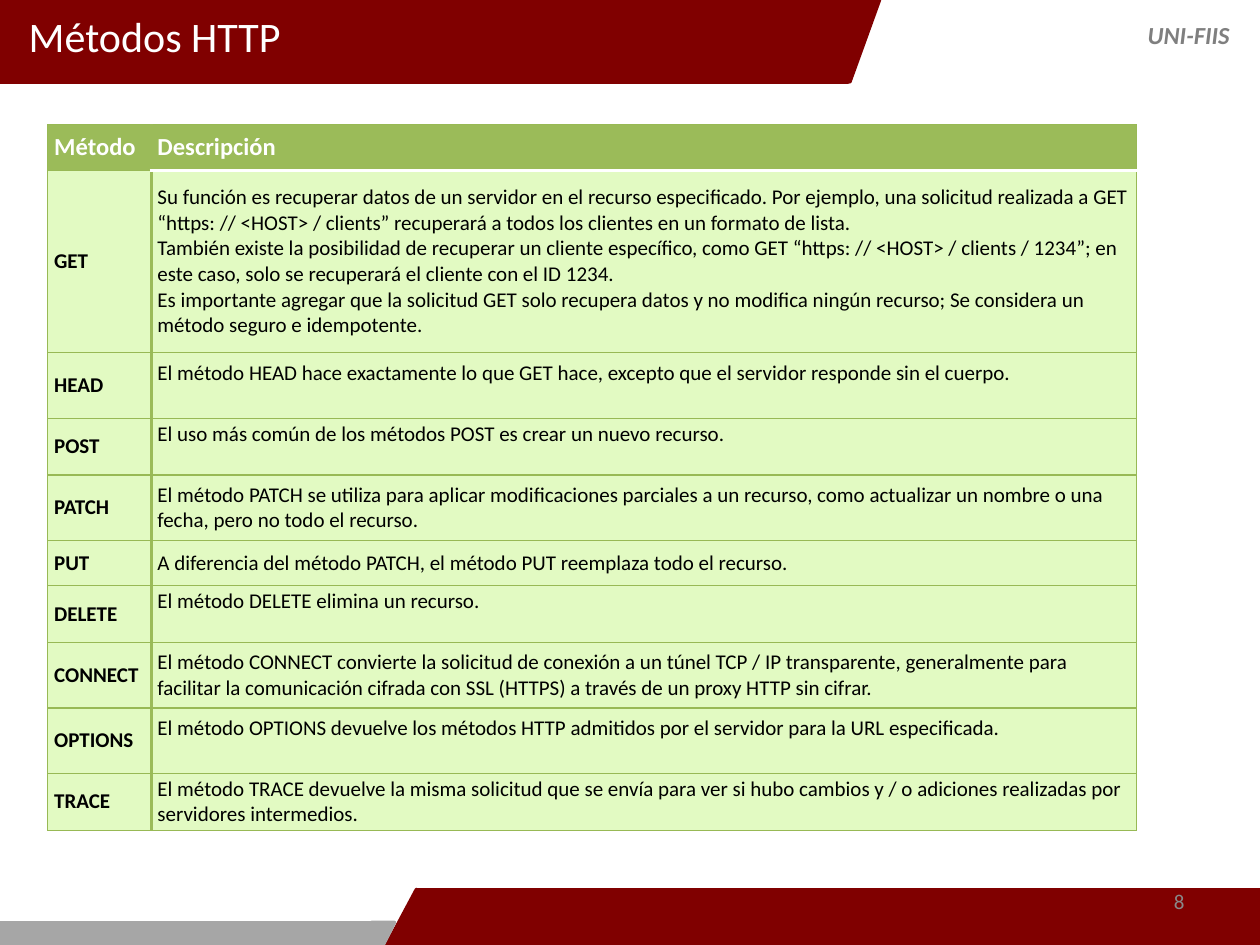
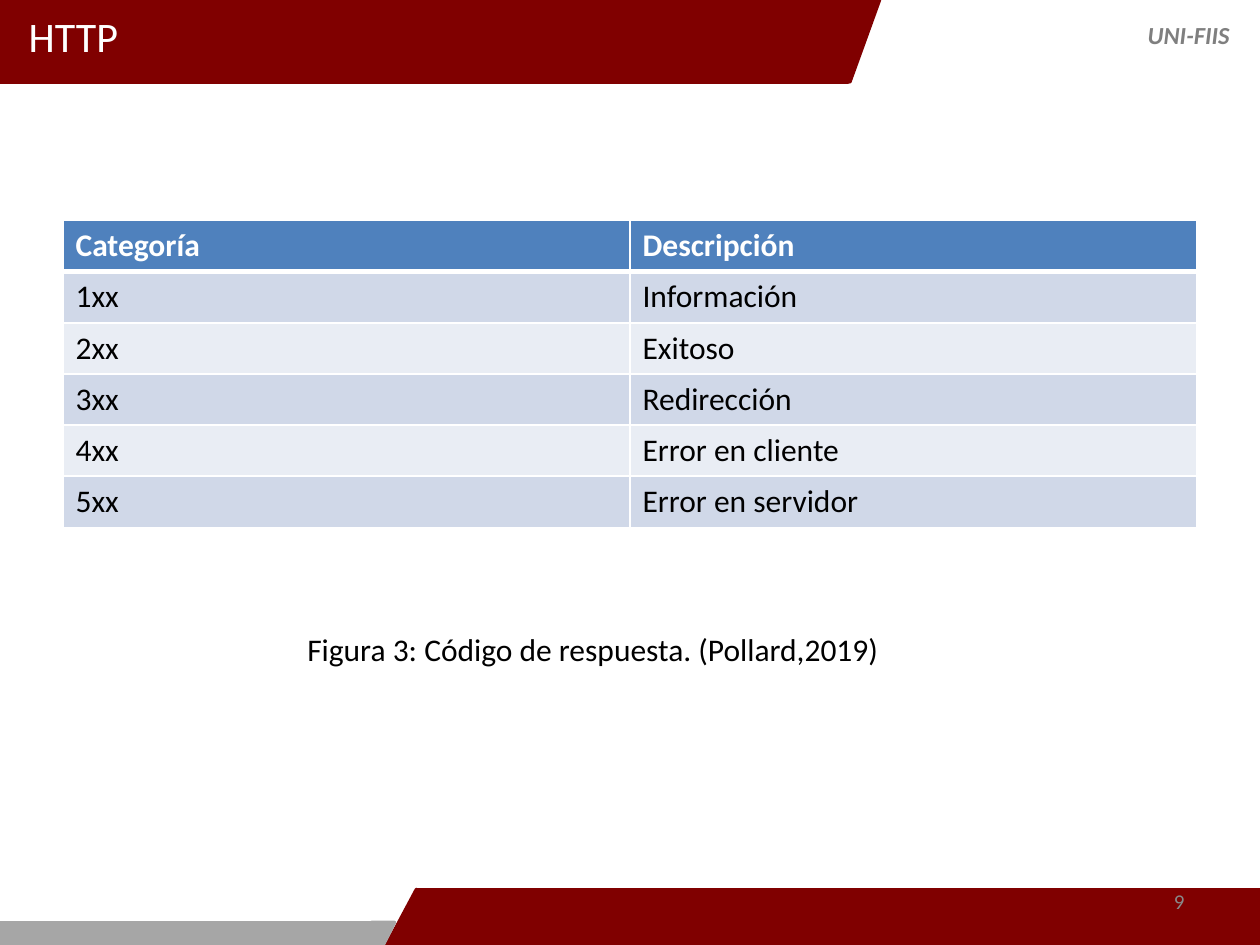
import dataclasses

import lxml.etree
import pptx
import pptx.dml.color
import pptx.enum.shapes
import pptx.enum.text
import pptx.oxml.ns
import pptx.util


@dataclasses.dataclass(frozen=True)
class Theme:
    font: str = "Calibri"
    maroon: str = "800000"
    grey: str = "A6A6A6"
    label: str = "7F7F7F"
    number: str = "898989"
    white: str = "FFFFFF"
    black: str = "000000"
    green: str = "9BBB59"
    green_line: str = "98B955"
    green_pale: str = "E2FAC2"
    blue: str = "4F81BD"
    blue_mid: str = "D0D8E8"
    blue_pale: str = "E9EDF4"
    title_size: int = 24
    large: int = 18
    medium: int = 14
    small: int = 12


T = Theme()
RGB = pptx.dml.color.RGBColor.from_string
SHAPE = pptx.enum.shapes.MSO_SHAPE
ANCHOR = pptx.enum.text.MSO_ANCHOR
LEFT, RIGHT = pptx.enum.text.PP_ALIGN.LEFT, pptx.enum.text.PP_ALIGN.RIGHT

prs = pptx.Presentation()
prs.slide_width = pptx.util.Inches(10)
prs.slide_height = pptx.util.Inches(7.5)
U = prs.slide_width // 100


def write(tf, text, size, color, bold=False, italic=False, align=LEFT):
    tf.word_wrap = True
    p = tf.paragraphs[0]
    p.alignment = align
    for i, line in enumerate(text.split("\n")):
        if i:
            p.add_line_break()
        r = p.add_run()
        r.text = line
        r.font.name = T.font
        r.font.size = pptx.util.Pt(size)
        r.font.bold = bold
        r.font.italic = italic
        r.font.color.rgb = RGB(color)


def paint(cell, fill, borders):
    tcPr = cell._tc.get_or_add_tcPr()
    for side, (color, width) in zip("LRTB", borders):
        ln = lxml.etree.SubElement(tcPr, pptx.oxml.ns.qn(f"a:ln{side}"), w=str(pptx.util.Pt(width)))
        solid = lxml.etree.SubElement(ln, pptx.oxml.ns.qn("a:solidFill"))
        lxml.etree.SubElement(solid, pptx.oxml.ns.qn("a:srgbClr"), val=color)
    cell.fill.solid()
    cell.fill.fore_color.rgb = RGB(fill)


bands = [
    (SHAPE.RECTANGLE, (0, 0, 67.3, 6.5), 0, T.maroon),
    (SHAPE.FLOWCHART_EXTRACT, (65.1, 0, 4.7, 6.5), 180, T.maroon),
    (SHAPE.FLOWCHART_EXTRACT, (30.7, 70.6, 4.7, 4.4), 0, T.maroon),
    (SHAPE.RECTANGLE, (33.1, 70.6, 66.9, 4.4), 0, T.maroon),
    (SHAPE.RECTANGLE, (0, 73.2, 30.2, 1.8), 0, T.grey),
    (SHAPE.FLOWCHART_EXTRACT, (29.5, 73.2, 1.8, 1.8), 180, T.grey),
]

methods = [
    ("Método", "Descripción"),
    ("GET", "Su función es recuperar datos de un servidor en el recurso especificado. Por ejemplo, una solicitud realizada a GET “https: // <HOST> / clients” recuperará a todos los clientes en un formato de lista.\n"
            "También existe la posibilidad de recuperar un cliente específico, como GET “https: // <HOST> / clients / 1234”; en este caso, solo se recuperará el cliente con el ID 1234.\n"
            "Es importante agregar que la solicitud GET solo recupera datos y no modifica ningún recurso; Se considera un método seguro e idempotente."),
    ("HEAD", "El método HEAD hace exactamente lo que GET hace, excepto que el servidor responde sin el cuerpo."),
    ("POST", "El uso más común de los métodos POST es crear un nuevo recurso."),
    ("PATCH", "El método PATCH se utiliza para aplicar modificaciones parciales a un recurso, como actualizar un nombre o una fecha, pero no todo el recurso."),
    ("PUT", "A diferencia del método PATCH, el método PUT reemplaza todo el recurso."),
    ("DELETE", "El método DELETE elimina un recurso."),
    ("CONNECT", "El método CONNECT convierte la solicitud de conexión a un túnel TCP / IP transparente, generalmente para facilitar la comunicación cifrada con SSL (HTTPS) a través de un proxy HTTP sin cifrar."),
    ("OPTIONS", "El método OPTIONS devuelve los métodos HTTP admitidos por el servidor para la URL especificada."),
    ("TRACE", "El método TRACE devuelve la misma solicitud que se envía para ver si hubo cambios y / o adiciones realizadas por servidores intermedios."),
]
raised = {"HEAD", "POST", "DELETE", "OPTIONS"}

codes = [
    ("Categoría", "Descripción"),
    ("1xx", "Información"),
    ("2xx", "Exitoso"),
    ("3xx", "Redirección"),
    ("4xx", "Error en cliente"),
    ("5xx", "Error en servidor"),
]

pages = [
    ("Métodos HTTP", "8", "", methods, (3.8, 9.9), (8.2, 78.2),
     (3.6, 14.5, 5.2, 4.5, 5.2, 3.6, 4.5, 5.2, 5.2, 4.5)),
    ("HTTP", "9", "Figura 3: Código de respuesta. (Pollard,2019)", codes, (5, 17.5), (45, 45),
     [4.06] * len(codes)),
]

for title, number, caption, rows, origin, widths, heights in pages:
    s = prs.slides.add_slide(prs.slide_layouts[6])

    for kind, box, turn, color in bands:
        sp = s.shapes.add_shape(kind, *(int(U * v) for v in box))
        sp.shadow.inherit = False
        sp.rotation = turn
        sp.fill.solid()
        sp.fill.fore_color.rgb = RGB(color)
        sp.line.color.rgb = RGB(color)
        sp.line.width = pptx.util.Pt(2)

    labels = [
        ((90.1, 1.1, 9.9, 3.4), ANCHOR.TOP, ("UNI-FIIS", T.medium, T.label, True, True)),
        ((1.3, 0, 54, 5.6), ANCHOR.MIDDLE, (title, T.title_size, T.white)),
        ((71.7, 69.5, 23.3, 4), ANCHOR.MIDDLE, (number, T.small, T.number, False, False, RIGHT)),
    ]
    if caption:
        labels.append(((23.4, 49.5, 50.5, 4), ANCHOR.TOP, (caption, T.large, T.black)))
    for box, anchor, style in labels:
        tf = s.shapes.add_textbox(*(int(U * v) for v in box)).text_frame
        tf.vertical_anchor = anchor
        write(tf, *style)

    frame = (*origin, sum(widths), sum(heights))
    table = s.shapes.add_table(len(rows), 2, *(int(U * v) for v in frame)).table
    table.horz_banding = False
    for column, width in zip(table.columns, widths):
        column.width = int(U * width)
    for row, height in zip(table.rows, heights):
        row.height = int(U * height)

    for i, row in enumerate(rows):
        for j, text in enumerate(row):
            cell = table.cell(i, j)
            head = i == 0
            color = T.white if head else T.black
            if rows is methods:
                thin, thick, rule = (T.green_line, 0.75), (T.green, 2), (T.white, 2)
                below = (rule if j else thin) if head else thin
                above = below if i == 1 and not j else rule if i == 1 else thin
                paint(cell, T.green if head else T.green_pale,
                      (thick if j else thin, thin if j else thick, above, below))
                cell.vertical_anchor = ANCHOR.MIDDLE
                cell.margin_left = cell.margin_right = int(U * 0.5)
                cell.margin_top = cell.margin_bottom = int(U * 0.2)
                if j and row[0] in raised:
                    cell.margin_bottom = int(U * 2.2)
                write(cell.text_frame, text, T.medium if head else T.small, color, head or j == 0)
            else:
                thin, rule = (T.white, 1), (T.white, 3)
                fill = T.blue if head else T.blue_mid if i % 2 else T.blue_pale
                paint(cell, fill, (thin, thin, rule if i == 1 else thin, rule if head else thin))
                write(cell.text_frame, text, T.large, color, head)

prs.save("out.pptx")
